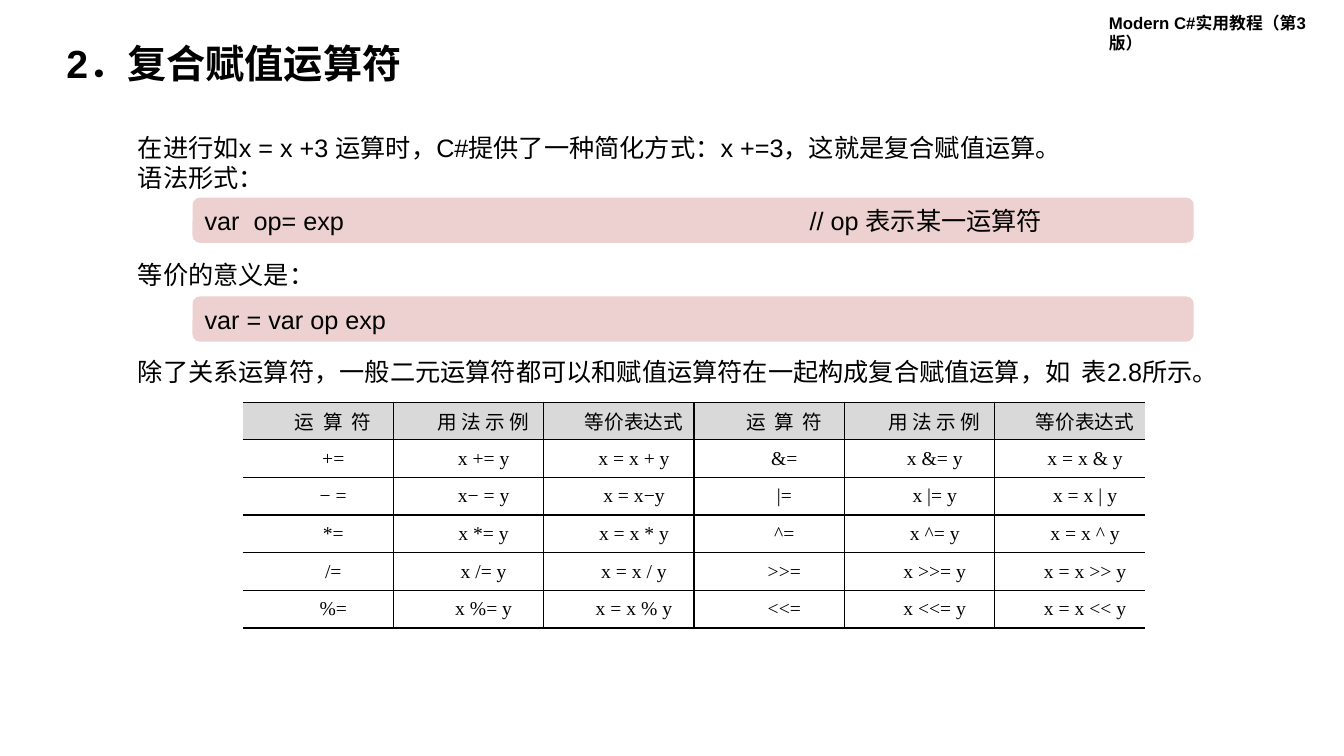
from lxml.etree import SubElement
from pptx import Presentation
from pptx.dml.color import RGBColor
from pptx.enum.shapes import MSO_SHAPE
from pptx.enum.text import MSO_ANCHOR, PP_ALIGN
from pptx.oxml.ns import qn
from pptx.util import Inches, Pt

BLACK = RGBColor(0x00, 0x00, 0x00)
PINK = RGBColor(0xED, 0xD0, 0xD0)
GRAY = RGBColor(0xD9, 0xD9, 0xD9)
WHITE = RGBColor(0xFF, 0xFF, 0xFF)


def write(tf, text, size=18, bold=False, font="Arial", align=PP_ALIGN.LEFT,
          spacing=None, indent=0, tab=None, anchor=MSO_ANCHOR.TOP, wrap=True):
    tf.word_wrap = wrap
    tf.vertical_anchor = anchor
    for i, line in enumerate(text.split("\n")):
        p = tf.paragraphs[0] if i == 0 else tf.add_paragraph()
        p.alignment = align
        if spacing:
            p.line_spacing = spacing
        pPr = p._p.get_or_add_pPr()
        if indent:
            pPr.set("marL", "0")
            pPr.set("indent", str(Inches(indent)))
        if tab:
            tabs = SubElement(pPr, qn("a:tabLst"))
            SubElement(tabs, qn("a:tab"), pos=str(Inches(tab)), algn="l")
        r = p.add_run()
        r.text = line
        r.font.name = font
        r.font.size = Pt(size)
        r.font.bold = bold
        r.font.color.rgb = BLACK


def set_border(cell, side, width):
    ln = SubElement(cell._tc.get_or_add_tcPr(), qn(f"a:ln{side}"), w=str(Pt(width)))
    if width:
        fill = SubElement(ln, qn("a:solidFill"))
        SubElement(fill, qn("a:srgbClr"), val=str(BLACK))
    else:
        SubElement(ln, qn("a:noFill"))


prs = Presentation()
prs.slide_width = Inches(13.33)
prs.slide_height = Inches(7.5)
s = prs.slides.add_slide(prs.slide_layouts[6])
s.background.fill.solid()
s.background.fill.fore_color.rgb = WHITE

texts = [
    (10.9, 0.08, 2.44, 0.3, "Modern C#实用教程（第3版）", dict(size=12, bold=True)),
    (0.56, 0.39, 3.77, 0.52, "2．复合赋值运算符",
     dict(size=28, bold=True, spacing=0.9, anchor=MSO_ANCHOR.MIDDLE)),
    (1.27, 1.26, 10.76, 0.71,
     "在进行如x = x +3 运算时，C#提供了一种简化方式：x +=3，这就是复合赋值运算。\n语法形式：", {}),
    (1.27, 2.52, 1.97, 0.4, "等价的意义是：", dict(wrap=False)),
    (1.27, 3.49, 11.17, 0.4,
     "除了关系运算符，一般二元运算符都可以和赋值运算符在一起构成复合赋值运算，如  表2.8所示。", {}),
]
for x, y, w, h, text, fmt in texts:
    sp = s.shapes.add_textbox(Inches(x), Inches(y), Inches(w), Inches(h))
    write(sp.text_frame, text, **fmt)

for y, code in [(1.96, "var  op= exp\t// op 表示某一运算符"), (2.94, "var = var op exp")]:
    sp = s.shapes.add_shape(MSO_SHAPE.ROUNDED_RECTANGLE,
                            Inches(1.91), Inches(y), Inches(9.93), Inches(0.45))
    sp.shadow.inherit = False
    sp.fill.solid()
    sp.fill.fore_color.rgb = PINK
    sp.line.fill.background()
    write(sp.text_frame, code, tab=6, anchor=MSO_ANCHOR.MIDDLE)

rows = [
    ["运  算  符", "用 法 示 例", "等价表达式"] * 2,
    ["+=", "x += y", "x = x + y", "&=", "x &= y", "x = x & y"],
    ["− =", "x− = y", "x = x−y", "|=", "x |= y", "x = x | y"],
    ["*=", "x *= y", "x = x * y", "^=", "x ^= y", "x = x ^ y"],
    ["/=", "x /= y", "x = x / y", ">>=", "x >>= y", "x = x >> y"],
    ["%=", "x %= y", "x = x % y", "<<=", "x <<= y", "x = x << y"],
]
column_lines = [0, 1, 1, 1.5, 1, 1, 0]
table = s.shapes.add_table(len(rows), 6, Inches(2.41), Inches(3.99),
                           Inches(8.95), Inches(2.24)).table
table.first_row = False
table.horz_banding = False
for i, row in enumerate(rows):
    for j, text in enumerate(row):
        cell = table.cell(i, j)
        cell.margin_left = cell.margin_right = Inches(0.07)
        cell.margin_top = cell.margin_bottom = 0
        cell.vertical_anchor = MSO_ANCHOR.MIDDLE
        write(cell.text_frame, text, size=14, font="Times New Roman",
              align=PP_ALIGN.CENTER, indent=0.3, anchor=None)
        set_border(cell, "L", column_lines[j])
        set_border(cell, "R", column_lines[j + 1])
        set_border(cell, "T", 1)
        set_border(cell, "B", 1)
        if i == 0:
            cell.fill.solid()
            cell.fill.fore_color.rgb = GRAY
        else:
            cell.fill.background()

prs.save("out.pptx")
